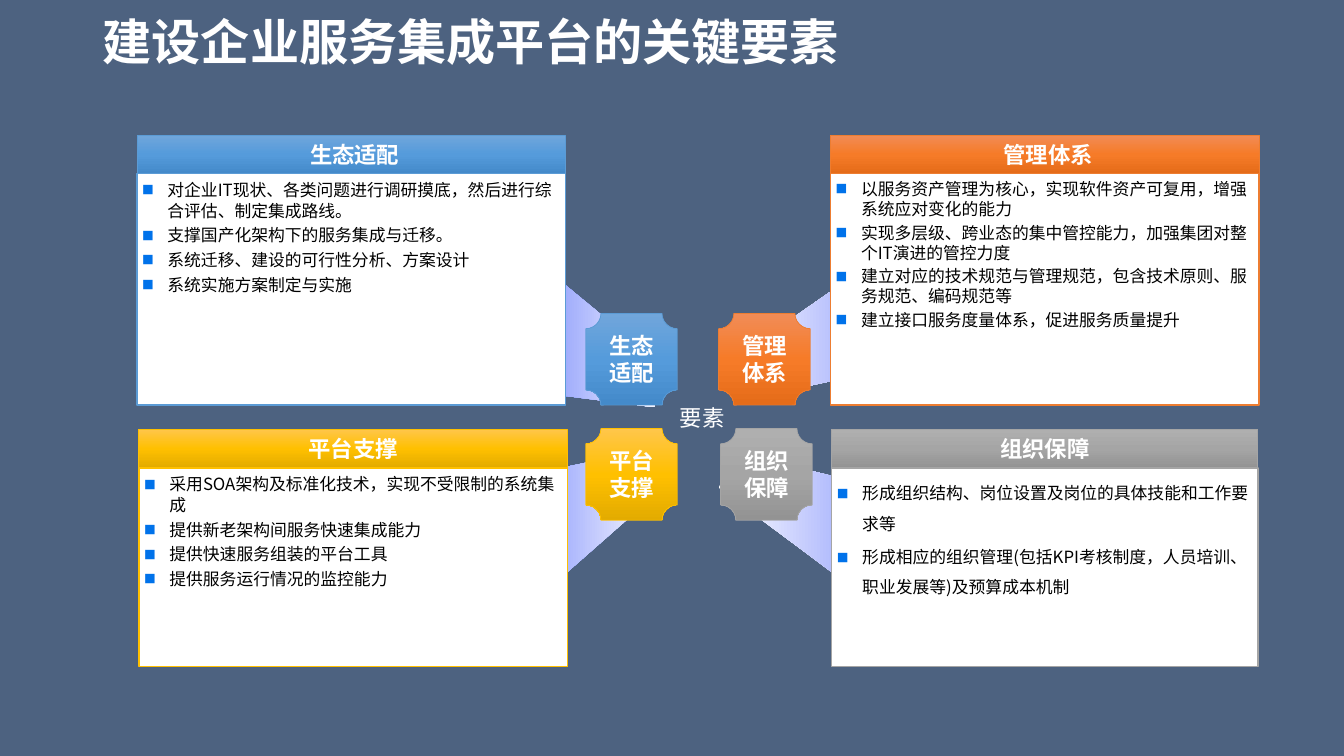
import pptx
import pptx.util
import pptx.dml.color
import pptx.enum.shapes
import pptx.enum.text
import pptx.oxml.ns
from lxml import etree

Cm = pptx.util.Cm
Pt = pptx.util.Pt
qn = pptx.oxml.ns.qn
RGB = pptx.dml.color.RGBColor.from_string
SHAPE = pptx.enum.shapes.MSO_SHAPE
ANCHOR = pptx.enum.text.MSO_ANCHOR
ALIGN = pptx.enum.text.PP_ALIGN
AUTO = pptx.enum.text.MSO_AUTO_SIZE
FONT = "Noto Sans CJK SC"
COLORS = {
    "back": "4D6280", "white": "FFFFFF", "black": "000000",
    "bullet": "0072EA", "wedge": "7889FB",
    "blue": "5B9BD5", "blue_shades": ["71A6DB", "559BDB", "448ACA"],
    "orange": "ED7D31", "orange_shades": ["F18C57", "F67B28", "E56C19"],
    "gold": "FFC000", "gold_shades": ["FFC64B", "FFC000", "E3AB00"],
    "gray": "A5A5A5", "gray_shades": ["AFAFAF", "A5A5A5", "939393"],
}


def shade(shape, shades, angle):
    shape.shadow.inherit = False
    shape.fill.gradient()
    shape.fill.gradient_angle = angle
    stops = shape.element.spPr.find(".//" + qn("a:gsLst"))
    for stop in list(stops):
        stops.remove(stop)
    for index, value in enumerate(shades):
        position = index * 100000 // (len(shades) - 1)
        stop = etree.SubElement(stops, qn("a:gs"), pos=str(position))
        etree.SubElement(stop, qn("a:srgbClr"), val=value)


def write(para, text, size, color, bold=False):
    span = para.add_run()
    span.text = text
    span.font.size = Pt(size)
    span.font.bold = bold
    span.font.color.rgb = RGB(color)
    span.font.name = FONT
    etree.SubElement(span.font._element, qn("a:ea"), typeface=FONT)


deck = pptx.Presentation()
deck.slide_width = Cm(33.87)
deck.slide_height = Cm(19.05)
page = deck.slides.add_slide(deck.slide_layouts[5])
page.background.fill.solid()
page.background.fill.fore_color.rgb = RGB(COLORS["back"])

title = page.shapes.title
title.left, title.top, title.width, title.height = Cm(2.34), Cm(0.33), Cm(29.21), Cm(1.78)
title.text_frame.auto_size = AUTO.NONE
title.text_frame.vertical_anchor = ANCHOR.TOP
para = title.text_frame.paragraphs[0]
para.alignment = ALIGN.LEFT
para.line_spacing = 0.9
write(para, "建设企业服务集成平台的关键要素", 35.1, COLORS["white"], True)

left_shades = [COLORS["wedge"], COLORS["white"]]
right_shades = left_shades[::-1]
wedges = [
    (left_shades, [(14.22, 7.16), (16.87, 9.35), (16.48, 10.26), (13.08, 9.83)]),
    (right_shades, [(22, 15.19), (18.11, 12.29), (18.54, 11.4), (23.24, 12.55)]),
    (right_shades, [(22.3, 6.4), (18.31, 9.17), (18.72, 10.08), (23.44, 9.07)]),
    (left_shades, [(14, 14.68), (16.79, 12.22), (16.36, 11.33), (12.7, 12.09)]),
]
for shades, corners in wedges:
    points = [(Cm(x), Cm(y)) for x, y in corners]
    outline = page.shapes.build_freeform(*points[0], scale=1.0)
    outline.add_line_segments(points[1:], close=True)
    wedge = outline.convert_to_shape()
    shade(wedge, shades, 0)
    wedge.line.fill.background()

# name, color, panel left, header top, width, body height, indent, plaque left and top, spacing, points
panels = [
    ("生态适配", "blue", 3.45, 3.4, 10.8, 5.84, 0.18, 14.76, 7.9, 1.05, [
        "对企业IT现状、各类问题进行调研摸底，然后进行综合评估、制定集成路线。",
        "支撑国产化架构下的服务集成与迁移。",
        "系统迁移、建设的可行性分析、方案设计",
        "系统实施方案制定与实施"]),
    ("管理体系", "orange", 20.93, 3.4, 10.8, 5.84, 0.18, 18.11, 7.9, 1.0, [
        "以服务资产管理为核心，实现软件资产可复用，增强系统应对变化的能力",
        "实现多层级、跨业态的集中管控能力，加强集团对整个IT演进的管控力度",
        "建立对应的技术规范与管理规范，包含技术原则、服务规范、编码规范等",
        "建立接口服务度量体系，促进服务质量提升"]),
    ("平台支撑", "gold", 3.5, 10.82, 10.8, 5, 0, 14.76, 10.8, 1.05, [
        "采用SOA架构及标准化技术，实现不受限制的系统集成",
        "提供新老架构间服务快速集成能力",
        "提供快速服务组装的平台工具",
        "提供服务运行情况的监控能力"]),
    ("组织保障", "gray", 20.96, 10.82, 10.74, 5, 0, 18.16, 10.8, 1.5, [
        "形成组织结构、岗位设置及岗位的具体技能和工作要求等",
        "形成相应的组织管理(包括KPI考核制度，人员培训、职业发展等)及预算成本机制"]),
]
header_height = 0.97
plaque_size = 2.31
for name, color, left, top, width, height, indent, plaque_left, plaque_top, spacing, points in panels:
    body = page.shapes.add_shape(
        SHAPE.RECTANGLE, Cm(left), Cm(top + header_height), Cm(width), Cm(height))
    body.shadow.inherit = False
    body.fill.solid()
    body.fill.fore_color.rgb = RGB(COLORS["white"])
    body.line.color.rgb = RGB(COLORS[color])
    body.line.width = Pt(1)
    frame = body.text_frame
    frame.word_wrap = True
    frame.vertical_anchor = ANCHOR.TOP
    frame.margin_left = frame.margin_top = frame.margin_bottom = Cm(0.13)
    frame.margin_right = Cm(0.08)
    for index, point in enumerate(points):
        para = frame.add_paragraph() if index else frame.paragraphs[0]
        para.alignment = ALIGN.LEFT
        para.line_spacing = spacing
        para.space_before = Pt(2.4 if index else 0)
        layout = para._p.get_or_add_pPr()
        layout.set("marL", str(Cm(0.64)))
        layout.set("indent", str(Cm(-0.64)))
        tint = etree.SubElement(layout, qn("a:buClr"))
        etree.SubElement(tint, qn("a:srgbClr"), val=COLORS["bullet"])
        etree.SubElement(layout, qn("a:buSzPct"), val="70000")
        etree.SubElement(layout, qn("a:buFont"), typeface=FONT)
        etree.SubElement(layout, qn("a:buChar"), char="■")
        write(para, point, 12, COLORS["black"])

    header = page.shapes.add_shape(
        SHAPE.RECTANGLE, Cm(left), Cm(top), Cm(width), Cm(header_height))
    plaque = page.shapes.add_shape(
        SHAPE.PLAQUE, Cm(plaque_left), Cm(plaque_top), Cm(plaque_size), Cm(plaque_size))
    for box, margin in ((header, 0), (plaque, 0.25)):
        shade(box, COLORS[color + "_shades"], 270)
        box.line.color.rgb = RGB(COLORS[color])
        box.line.width = Pt(0.5)
        frame = box.text_frame
        frame.word_wrap = True
        frame.vertical_anchor = ANCHOR.MIDDLE
        frame.margin_left = frame.margin_right = Cm(margin)
        frame.margin_top = frame.margin_bottom = Cm(margin)
        para = frame.paragraphs[0]
        para.alignment = ALIGN.CENTER
        write(para, name, 16, COLORS["white"], True)
    header.text_frame.margin_left = Cm(indent)

label = page.shapes.add_textbox(Cm(16.66), Cm(10.06), Cm(2.08), Cm(0.94))
label.text_frame.word_wrap = True
label.text_frame.auto_size = AUTO.SHAPE_TO_FIT_TEXT
para = label.text_frame.paragraphs[0]
para.alignment = ALIGN.CENTER
write(para, "要素", 16, COLORS["white"])

deck.save("out.pptx")
